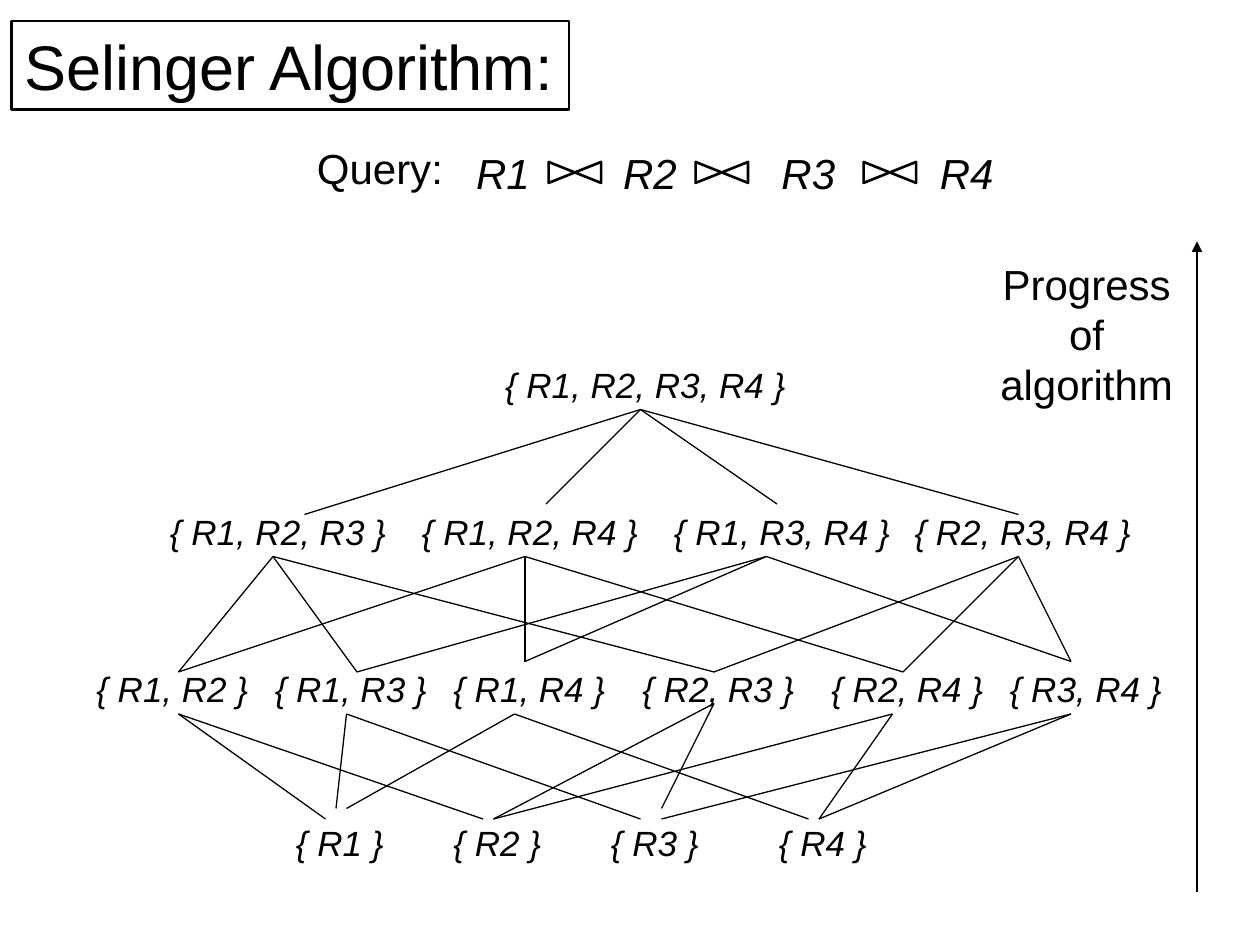
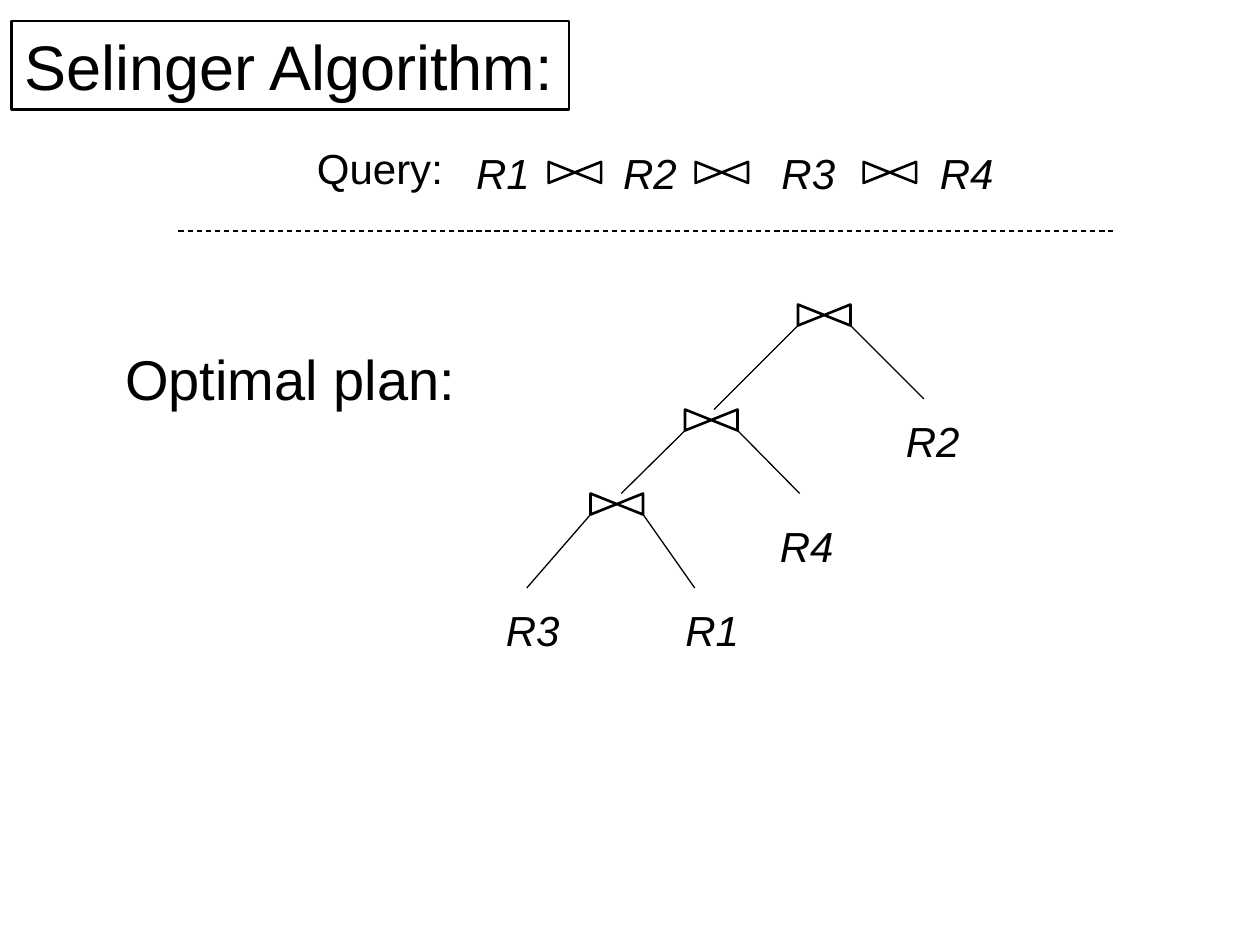
import dataclasses
import itertools

import lxml.etree
import pptx
import pptx.dml.color
import pptx.enum.dml
import pptx.enum.shapes
import pptx.enum.text
import pptx.oxml.ns
import pptx.util

Pt = pptx.util.Pt
qn = pptx.oxml.ns.qn


@dataclasses.dataclass(frozen=True)
class Theme:
    font: str = "Arial"
    ink: pptx.dml.color.RGBColor = pptx.dml.color.RGBColor(0, 0, 0)
    paper: pptx.dml.color.RGBColor = pptx.dml.color.RGBColor(255, 255, 255)
    title: int = 36
    heading: int = 32
    body: int = 24
    node: int = 20
    thin: float = 0.75
    thick: float = 1.5


THEME = Theme()
BOWTIE_LENGTH, BOWTIE_HEIGHT = 30, 12

# Width and height of a relation set's label, by number of members
SET_WIDTHS = {1: 68, 2: 105, 3: 142, 4: 179}
SET_HEIGHT = 31.5

# Relation set: left edge of its label
SINGLES = {"R1": 162, "R2": 252, "R3": 342, "R4": 438}
PAIRS = {("R1", "R2"): 48, ("R1", "R3"): 150, ("R1", "R4"): 252,
         ("R2", "R3"): 360, ("R2", "R4"): 468, ("R3", "R4"): 570}
TRIPLES = {("R1", "R2", "R3"): 90, ("R1", "R2", "R4"): 234,
           ("R1", "R3", "R4"): 378, ("R2", "R3", "R4"): 515.5}

# Where edges from above arrive at each set
PAIR_TOPS = dict(zip(PAIRS, [(102, 384), (204, 384), (300, 378),
                             (408, 384), (516, 384), (612, 378)]))
TRIPLE_TOPS = [(174, 294), (312, 288), (444, 288), (582, 294)]

# Where edges leave each triple, and the fans below the pairs
TRIPLE_HUBS = [156, 300, 438, 582]
PAIR_FANS = [
    ((102, 408), [(186, 468), (276, 468)]),
    ((198, 408), [(192, 462), (366, 468)]),
    ((294, 408), [(198, 462), (462, 468)]),
    ((408, 402), [(282, 468), (378, 462)]),
    ((510, 408), [(282, 468), (468, 468)]),
    ((612, 408), [(468, 468), (378, 468)]),
]


def fill_text(shape, text, size, italic=False, align=pptx.enum.text.PP_ALIGN.LEFT):
    """Write text on one line, or several parted by line breaks."""
    frame = shape.text_frame
    frame.word_wrap = False
    frame.auto_size = pptx.enum.text.MSO_AUTO_SIZE.SHAPE_TO_FIT_TEXT
    frame.vertical_anchor = pptx.enum.text.MSO_ANCHOR.TOP
    para = frame.paragraphs[0]
    para.alignment = align
    for index, line in enumerate(text.split("\n")):
        if index:
            para.add_line_break()
        span = para.add_run()
        span.text = line
        span.font.name = THEME.font
        span.font.size = Pt(size)
        span.font.italic = italic
        span.font.color.rgb = THEME.ink
    return para


def add_label(shapes, left, top, width, height, text, size, **style):
    box = shapes.add_textbox(Pt(left), Pt(top), Pt(width), Pt(height))
    return fill_text(box, text, size, **style)


def set_tabs(para, stops):
    tabs = lxml.etree.SubElement(para._p.get_or_add_pPr(), qn("a:tabLst"))
    for stop in stops:
        lxml.etree.SubElement(tabs, qn("a:tab"), pos=str(int(Pt(stop))), algn="l")


def outline(shape, width):
    shape.line.color.rgb = THEME.ink
    shape.line.width = Pt(width)


def add_line(shapes, start, end, width=THEME.thin, dashed=False, arrow=False):
    line = shapes.add_connector(pptx.enum.shapes.MSO_CONNECTOR.STRAIGHT,
                                *(Pt(length) for length in (*start, *end)))
    outline(line, width)
    if dashed:
        line.line.dash_style = pptx.enum.dml.MSO_LINE.DASH
    properties = line._element.spPr
    if arrow:
        lxml.etree.SubElement(properties.find(qn("a:ln")), qn("a:tailEnd"), type="triangle")
    lxml.etree.SubElement(properties, qn("a:effectLst"))


def add_fan(shapes, hub, ends):
    for end in ends:
        add_line(shapes, hub, end)


def add_bowtie(shapes, x, y):
    """Draw a join symbol centred on (x, y)."""
    bowtie = shapes.add_shape(
        pptx.enum.shapes.MSO_SHAPE.FLOWCHART_COLLATE,
        Pt(x - BOWTIE_HEIGHT / 2), Pt(y - BOWTIE_LENGTH / 2),
        Pt(BOWTIE_HEIGHT), Pt(BOWTIE_LENGTH))
    bowtie.rotation = 270
    bowtie.shadow.inherit = False
    bowtie.fill.solid()
    bowtie.fill.fore_color.rgb = THEME.paper
    outline(bowtie, THEME.thick)


def add_join(shapes, x, y, left_end, right_end):
    """Draw a join symbol with a branch from each lower corner."""
    add_bowtie(shapes, x, y)
    bottom = y + BOWTIE_HEIGHT / 2
    add_line(shapes, (x - BOWTIE_LENGTH / 2, bottom), left_end)
    add_line(shapes, (x + BOWTIE_LENGTH / 2, bottom), right_end)


def add_set(shapes, members, left, top):
    add_label(shapes, left, top, SET_WIDTHS[len(members)], SET_HEIGHT,
              "{ " + ", ".join(members) + " }", THEME.node, italic=True)


def add_title(shapes):
    title = shapes.add_shape(pptx.enum.shapes.MSO_SHAPE.RECTANGLE,
                             Pt(6.75), Pt(12), Pt(318.5), Pt(50.5))
    title.shadow.inherit = False
    title.fill.background()
    outline(title, THEME.thick)
    fill_text(title, "Selinger Algorithm:", THEME.title)


def add_query(shapes):
    query = shapes.add_group_shape().shapes
    add_label(query, 174, 78, 93, 36, "Query:", THEME.body)
    relations = add_label(query, 265, 80.5, 310, 36, "\t".join(SINGLES),
                          THEME.body, italic=True)
    set_tabs(relations, [84, 174.5, 265])
    for x in (328.5, 412.5, 508.5):
        add_bowtie(query, x, 98.5)


def add_page(deck):
    shapes = deck.slides.add_slide(deck.slide_layouts[6]).shapes
    add_title(shapes)
    add_query(shapes)
    return shapes


def build_lattice_page(deck):
    shapes = add_page(deck)
    for relation, left in SINGLES.items():
        add_set(shapes, [relation], left, 466)
    for sets, top in ((PAIRS, 378), (TRIPLES, 288)):
        for members, left in sets.items():
            add_set(shapes, members, left, top)
    add_set(shapes, list(SINGLES), 281.5, 204)

    for hub, ends in PAIR_FANS:
        add_fan(shapes, hub, ends)
    for members, x in zip(TRIPLES, TRIPLE_HUBS):
        pairs = itertools.combinations(members, 2)
        add_fan(shapes, (x, 318), [PAIR_TOPS[pair] for pair in pairs])
    add_fan(shapes, (366, 234), TRIPLE_TOPS)

    add_line(shapes, (684, 510), (684, 138), THEME.thick, arrow=True)
    add_label(shapes, 564.5, 144, 113, 93.5, "Progress\nof\nalgorithm",
              THEME.body, align=pptx.enum.text.PP_ALIGN.CENTER)


def build_plan_page(deck):
    shapes = add_page(deck)
    add_line(shapes, (102, 132), (636, 132), dashed=True)
    add_label(shapes, 64.5, 193.25, 204, 46, "Optimal plan:", THEME.heading)
    add_join(shapes, 471, 180, (408, 234), (528, 228))
    add_join(shapes, 406.5, 240, (355, 282), (457, 282))
    add_join(shapes, 352.5, 288, (301, 336), (397, 336))
    leaves = {"R2": (510.5, 234), "R4": (438.5, 294),
              "R3": (282, 342), "R1": (384.5, 342)}
    for relation, (left, top) in leaves.items():
        add_label(shapes, left, top, 46, 36, relation, THEME.body, italic=True)


def main():
    deck = pptx.Presentation()
    deck.slide_width, deck.slide_height = Pt(720), Pt(540)
    build_lattice_page(deck)
    build_plan_page(deck)
    deck.save("out.pptx")


if __name__ == "__main__":
    main()
